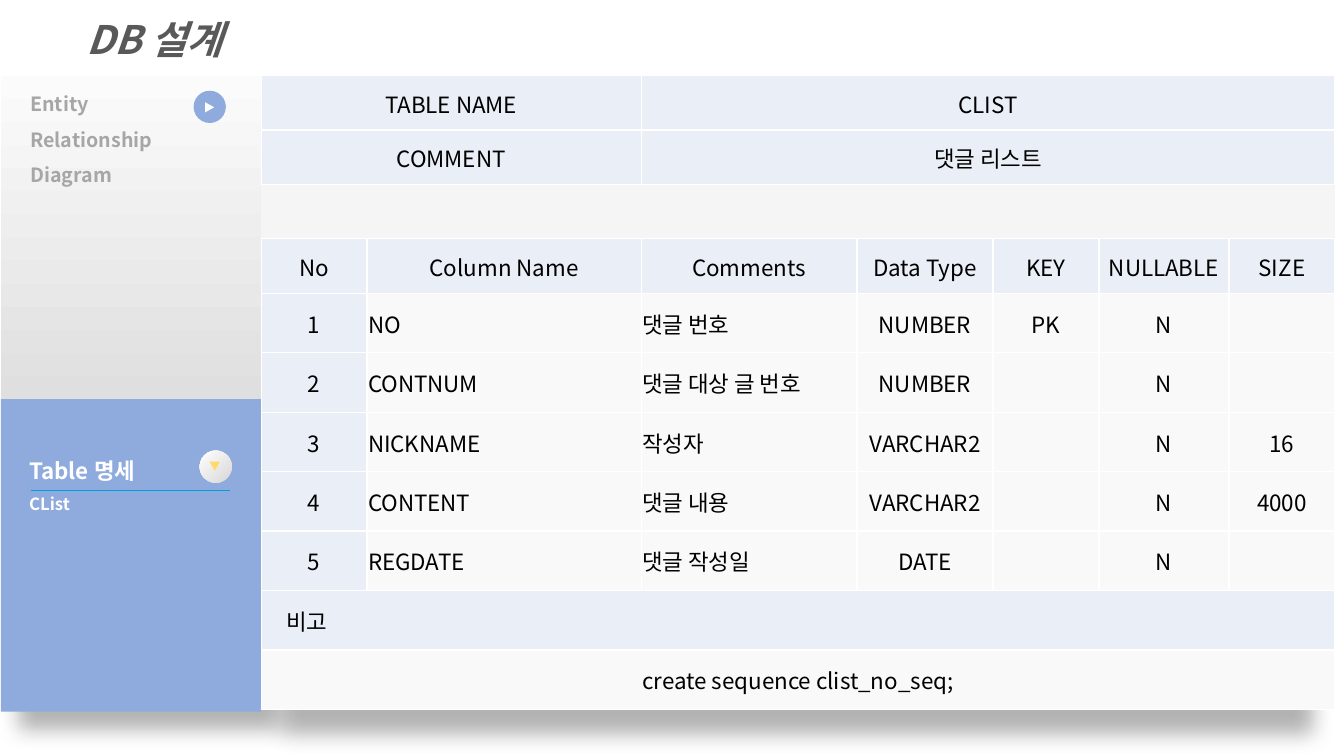
from lxml.etree import SubElement
from pptx import Presentation
from pptx.dml.color import RGBColor
from pptx.enum.shapes import MSO_CONNECTOR, MSO_SHAPE
from pptx.enum.text import MSO_ANCHOR, MSO_AUTO_SIZE, PP_ALIGN
from pptx.oxml.ns import qn
from pptx.util import Inches, Pt

FONT = "Noto Sans CJK KR"
WHITE = RGBColor(0xFF, 0xFF, 0xFF)
BLACK = RGBColor(0, 0, 0)
TITLE_GRAY = RGBColor(0x59, 0x59, 0x59)
MENU_GRAY = RGBColor(0xA6, 0xA6, 0xA6)
BLUE = RGBColor(0x8F, 0xAA, 0xDC)
RULE_BLUE = RGBColor(0x00, 0x9F, 0xE1)
YELLOW = RGBColor(0xFF, 0xD9, 0x66)
PANEL_DARK = RGBColor(0xDF, 0xDF, 0xE0)
PANEL_LIGHT = RGBColor(0xFB, 0xFB, 0xFB)
BUTTON_DARK = RGBColor(0xD7, 0xD7, 0xD7)
HEAD_FILL = RGBColor(0xEA, 0xEF, 0xF7)
GAP_FILL = RGBColor(0xF5, 0xF5, 0xF6)
BODY_FILL = RGBColor(0xF9, 0xF9, 0xF9)

NO_STYLE = "{2D5ABB26-0587-4C30-8999-92F81FD0307C}"
COLUMN_WIDTHS = [1.05, 2.72, 2.14, 1.35, 1.05, 1.29, 1.05]
ROW_HEIGHTS = [0.54] * 4 + [0.59] * 7
GAP_ROW, HEADING_ROW, NOTE_ROW = 2, 3, 9
ROWS = [
    ["TABLE NAME", "", "CLIST"],
    ["COMMENT", "", "댓글 리스트"],
    [],
    ["No", "Column Name", "Comments", "Data Type", "KEY", "NULLABLE", "SIZE"],
    ["1", "NO", "댓글 번호", "NUMBER", "PK", "N", ""],
    ["2", "CONTNUM", "댓글 대상 글 번호", "NUMBER", "", "N", ""],
    ["3", "NICKNAME", "작성자", "VARCHAR2", "", "N", "16"],
    ["4", "CONTENT", "댓글 내용", "VARCHAR2", "", "N", "4000"],
    ["5", "REGDATE", "댓글 작성일", "DATE", "", "N", ""],
    ["비고"],
    ["create sequence clist_no_seq;"],
]


def style_text(paragraph, size, color, bold=False, italic=False):
    for run in paragraph.runs:
        font = run.font
        font.name, font.size, font.bold, font.italic = FONT, Pt(size), bold, italic
        font.color.rgb = color
        SubElement(run._r.get_or_add_rPr(), qn("a:ea"), typeface=FONT)


def add_plain(slide, preset, left, top, width, height, *colors, angle=0):
    """Add a borderless shape; two colours make a gradient."""
    shape = slide.shapes.add_shape(
        preset, Inches(left), Inches(top), Inches(width), Inches(height))
    shape.shadow.inherit = False
    shape.line.fill.background()
    if len(colors) == 1:
        shape.fill.solid()
        shape.fill.fore_color.rgb = colors[0]
    else:
        shape.fill.gradient()
        shape.fill.gradient_angle = angle
        for stop, color in zip(shape.fill.gradient_stops, colors):
            stop.color.rgb = color
    return shape


def add_shadow(shape, direction, scale=100):
    effects = shape._element.spPr.find(qn("a:effectLst"))
    shadow = SubElement(
        effects, qn("a:outerShdw"), blurRad=str(Pt(15)), dist=str(Pt(18)),
        dir=str(direction * 60000), sx=str(scale * 1000), algn="ctr", rotWithShape="0")
    color = SubElement(shadow, qn("a:srgbClr"), val="000000")
    SubElement(color, qn("a:alpha"), val="30000")


def add_title(slide, left, top, width, height):
    title = slide.shapes.title
    title.left, title.top = Inches(left), Inches(top)
    title.width, title.height = Inches(width), Inches(height)
    frame = title.text_frame
    frame.text = "DB 설계"
    frame.auto_size = MSO_AUTO_SIZE.NONE
    frame.vertical_anchor = MSO_ANCHOR.TOP
    frame.paragraphs[0].alignment = PP_ALIGN.LEFT
    style_text(frame.paragraphs[0], 28, TITLE_GRAY, bold=True, italic=True)


def add_table_panel(slide, left, top, width, height):
    panel = add_plain(slide, MSO_SHAPE.RECTANGLE, left, top, width, height, BLUE)
    add_shadow(panel, 45)

    # Section name and current table
    label = slide.shapes.add_textbox(
        Inches(left + 0.18), Inches(top + 0.39), Inches(2.18), Inches(1.11))
    frame = label.text_frame
    frame.word_wrap = True
    frame.text = "Table 명세\nCList"
    for paragraph, size in zip(frame.paragraphs, (16, 12)):
        paragraph.line_spacing = 1.5
        style_text(paragraph, size, WHITE, bold=True)

    # Open-section button
    add_plain(slide, MSO_SHAPE.OVAL, left + 1.97, top + 0.51, 0.32, 0.32,
              BUTTON_DARK, WHITE, angle=135)
    arrow = add_plain(slide, MSO_SHAPE.ISOSCELES_TRIANGLE,
                      left + 2.07, top + 0.62, 0.1, 0.09, YELLOW)
    arrow.rotation = 180

    # Rule under the section name
    rule_y = Inches(top + 0.9)
    rule = slide.shapes.add_connector(
        MSO_CONNECTOR.STRAIGHT, Inches(left + 0.3), rule_y, Inches(left + 2.27), rule_y)
    rule.line.color.rgb = RULE_BLUE
    rule.line.width = Pt(0.5)
    SubElement(rule._element.spPr, qn("a:effectLst"))


def add_diagram_panel(slide, left, top, width, height):
    panel = add_plain(slide, MSO_SHAPE.RECTANGLE, left, top, width, height,
                      PANEL_DARK, PANEL_LIGHT, angle=90)
    frame = panel.text_frame
    frame.vertical_anchor = MSO_ANCHOR.TOP
    frame.margin_left = Inches(0.29)
    frame.text = "Entity\nRelationship\nDiagram"
    for paragraph in frame.paragraphs:
        paragraph.alignment = PP_ALIGN.LEFT
        paragraph.line_spacing = 1.5
        style_text(paragraph, 14, MENU_GRAY, bold=True)

    # Closed-section button
    add_plain(slide, MSO_SHAPE.OVAL, left + 1.91, top + 0.15, 0.32, 0.32, BLUE)
    arrow = add_plain(slide, MSO_SHAPE.ISOSCELES_TRIANGLE,
                      left + 2.02, top + 0.27, 0.1, 0.09, WHITE)
    arrow.rotation = 90


def add_borders(cell):
    properties = cell._tc.get_or_add_tcPr()
    for side in ("lnL", "lnR", "lnT", "lnB"):
        border = SubElement(properties, qn(f"a:{side}"), w=str(Pt(1)))
        fill = SubElement(border, qn("a:solidFill"))
        SubElement(fill, qn("a:srgbClr"), val=str(WHITE))


def cell_fill(row, column):
    if row == GAP_ROW:
        return GAP_FILL
    if row <= HEADING_ROW or row == NOTE_ROW or (row < NOTE_ROW and column == 0):
        return HEAD_FILL
    return BODY_FILL


def add_specification(slide, left, top):
    width, height = sum(COLUMN_WIDTHS), sum(ROW_HEIGHTS)
    backing = add_plain(slide, MSO_SHAPE.RECTANGLE, left, top, width, height, WHITE)
    add_shadow(backing, 90, scale=96)

    frame = slide.shapes.add_table(
        len(ROW_HEIGHTS), len(COLUMN_WIDTHS),
        Inches(left), Inches(top), Inches(width), Inches(height))
    table = frame.table
    table.first_row = table.horz_banding = False
    table._tbl.tblPr.find(qn("a:tableStyleId")).text = NO_STYLE
    for column, column_width in zip(table.columns, COLUMN_WIDTHS):
        column.width = Inches(column_width)
    for row, row_height in zip(table.rows, ROW_HEIGHTS):
        row.height = Inches(row_height)

    # Cells
    for r, texts in enumerate(ROWS):
        for c in range(len(COLUMN_WIDTHS)):
            cell = table.cell(r, c)
            if r != GAP_ROW:
                add_borders(cell)
            cell.fill.solid()
            cell.fill.fore_color.rgb = cell_fill(r, c)
            cell.vertical_anchor = MSO_ANCHOR.MIDDLE
            cell.margin_left = cell.margin_right = cell.margin_top = Inches(0.01)
            cell.margin_bottom = 0
            if c < len(texts) and texts[c]:
                cell.text_frame.text = texts[c]
                paragraph = cell.text_frame.paragraphs[0]
                named = HEADING_ROW < r < NOTE_ROW and c in (1, 2)
                paragraph.alignment = (
                    PP_ALIGN.LEFT if named or r == NOTE_ROW else PP_ALIGN.CENTER)
                style_text(paragraph, 16, BLACK)
    table.cell(NOTE_ROW, 0).margin_left = Inches(0.25)

    # Merged rows
    for r in (0, 1):
        table.cell(r, 0).merge(table.cell(r, 1))
        table.cell(r, 2).merge(table.cell(r, 6))
    for r in (GAP_ROW, NOTE_ROW, NOTE_ROW + 1):
        table.cell(r, 0).merge(table.cell(r, 6))


def main():
    presentation = Presentation()
    presentation.slide_width = Inches(13.33)
    presentation.slide_height = Inches(7.5)
    slide = presentation.slides.add_slide(presentation.slide_layouts[5])
    add_table_panel(slide, 0.01, 3.96, 2.58, 3.1)
    add_diagram_panel(slide, 0.01, 0.75, 2.58, 3.21)
    add_specification(slide, 2.59, 0.75)
    add_title(slide, 0.76, 0.1, 7.25, 0.57)
    presentation.save("out.pptx")


if __name__ == "__main__":
    main()
